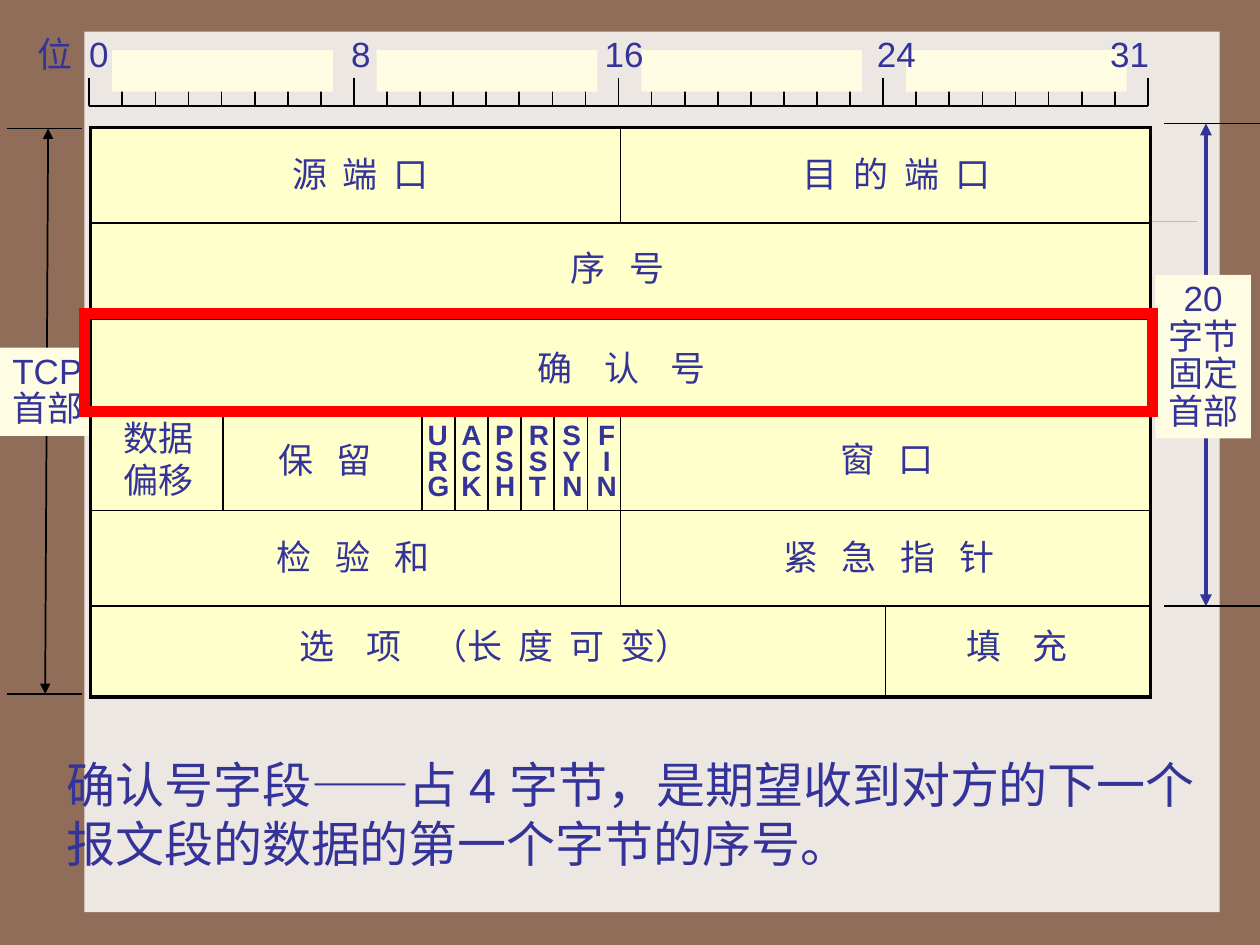
from lxml import etree
from pptx import Presentation
from pptx.dml.color import RGBColor
from pptx.enum.shapes import MSO_CONNECTOR, MSO_SHAPE
from pptx.enum.text import MSO_ANCHOR, PP_ALIGN
from pptx.oxml.ns import qn
from pptx.util import Cm, Pt

COLORS = {
    "frame": "906D58", "paper": "EDE7E3", "rule": "CBBD83", "cream": "FEFDE3",
    "field": "FFFFCC", "ink": "333399", "black": "000000", "red": "FF0000",
}
BITS = 32


def rgb(name):
    return RGBColor.from_string(COLORS[name])


def add_rect(slide, left, top, width, height, fill=None, line=None, weight=1):
    rect = slide.shapes.add_shape(MSO_SHAPE.RECTANGLE, Cm(left), Cm(top), Cm(width), Cm(height))
    rect.shadow.inherit = False
    if fill:
        rect.fill.solid()
        rect.fill.fore_color.rgb = rgb(fill)
    else:
        rect.fill.background()
    if line:
        rect.line.color.rgb = rgb(line)
        rect.line.width = Pt(weight)
        etree.SubElement(rect.line._get_or_add_ln(), qn("a:miter"), lim="800000")
    else:
        rect.line.fill.background()
    return rect


def add_line(slide, x1, y1, x2, y2, color="black", weight=1, arrows=False):
    line = slide.shapes.add_connector(MSO_CONNECTOR.STRAIGHT, Cm(x1), Cm(y1), Cm(x2), Cm(y2))
    line.line.color.rgb = rgb(color)
    line.line.width = Pt(weight)
    if arrows:
        outline = line.line._get_or_add_ln()
        for end in ("a:headEnd", "a:tailEnd"):
            etree.SubElement(outline, qn(end), type="triangle")
    etree.SubElement(line._element.spPr, qn("a:effectLst"))
    return line


def add_text(slide, text, left, top, width, height, size=20, bold=False, gap=0,
             align=PP_ALIGN.LEFT, spacing=1.0, wrap=False, fill=None, tabs=()):
    if fill:
        box = add_rect(slide, left, top, width, height, fill)
    else:
        box = slide.shapes.add_textbox(Cm(left), Cm(top), Cm(width), Cm(height))
    frame = box.text_frame
    frame.word_wrap = wrap
    frame.vertical_anchor = MSO_ANCHOR.TOP
    for index, content in enumerate(text if isinstance(text, list) else [text]):
        paragraph = frame.paragraphs[0] if index == 0 else frame.add_paragraph()
        paragraph.alignment = align
        paragraph.line_spacing = spacing
        if tabs:
            tab_list = etree.SubElement(paragraph._p.get_or_add_pPr(), qn("a:tabLst"))
            for stop in tabs:
                etree.SubElement(tab_list, qn("a:tab"), pos=str(Cm(stop)), algn="l")
        if isinstance(content, tuple):
            pieces = content
        elif gap:
            pieces = ((content[:-1], gap), (content[-1], 0))
        else:
            pieces = ((content, 0),)
        for piece, letter_gap in pieces:
            run = paragraph.add_run()
            run.text = piece
            run.font.name = "Arial"
            run.font.size = Pt(size)
            run.font.bold = bold
            run.font.color.rgb = rgb("ink")
            if letter_gap:
                run._r.get_or_add_rPr().set("spc", str(int(letter_gap * 100)))
    return box


def draw_backdrop(slide):
    slide.background.fill.solid()
    slide.background.fill.fore_color.rgb = rgb("frame")
    add_rect(slide, 1.7, 0.64, 22.89, 17.75, "paper")
    add_line(slide, 2.82, 4.45, 24.13, 4.45, "rule", 0.25)


def draw_span(slide, left, top, width, height, label, label_box, align,
              arrow_x, lean=0, color="black", weight=1):
    add_line(slide, left + arrow_x, top, left + arrow_x - lean, top + height, color, weight, True)
    dx, dy, label_width, label_height = label_box
    add_text(slide, label, left + dx, top + dy, label_width, label_height,
             align=align, spacing=0.9, fill="cream")
    for y in (top, top + height):
        add_line(slide, left, y, left + width, y)


def draw_ruler(slide, left, top, width, height):
    bit = width / BITS
    bottom = top + height
    add_line(slide, left, bottom, left + width, bottom)
    for index in range(BITS + 1):
        tick = 0.56 if index % 8 == 0 else 0.84
        x = left + index * bit
        add_line(slide, x, bottom - tick, x, bottom)
    for byte in range(4):
        add_rect(slide, left + 0.46 + byte * 8 * bit, top + 0.48, 4.45, 0.84, "cream")
    add_text(slide, "位\t0\t8\t16\t24\t31", left - 1.29, top, 22.96, 1.09,
             wrap=True, tabs=(1.04, 6.32, 11.43, 16.92, 21.62))


def draw_header(slide, left, top, width, height):
    row = 1.93
    bit = width / BITS
    table = add_rect(slide, left, top, width, height, "field", "black", 2)
    for index in range(1, 6):
        y = top + index * row
        add_line(slide, left, y, left + width, y)
    port_divider = add_line(slide, left + 16 * bit, top, left + 16 * bit, top + row)
    port_divider.begin_connect(table, 0)

    dividers = [(position, 3, 4) for position in (4, *range(10, 16))]
    dividers += [(16, 3, 5), (24, 5, height / row)]
    for position, first, last in dividers:
        x = left + position * bit
        add_line(slide, x, top + first * row, x, top + last * row)

    options = (("选项", 18), ("（", 0), ("长度可", 9), ("变）", 0))
    fields = [
        ("源端口", 3.81, 0.38, 3.6, 9),
        ("目的端口", 14.1, 0.38, 4.6, 9),
        ("序号", 9.42, 2.28, 3.84, 13.5),
        ("确认号", 8.76, 4.29, 5.11, 18),
        (["数据", "偏移"], 0.41, 5.71, 2.1, 0),
        ("保留", 3.53, 6.14, 2.7, 13.5),
        ("窗口", 14.86, 6.12, 2.7, 13.5),
        ("检验和", 3.5, 8.1, 3.9, 13.5),
        ("紧急指针", 13.71, 8.1, 5.1, 13.5),
        ([options], 3.96, 9.9, 8.89, 0),
        ("填充", 17.4, 9.9, 3.48, 18),
    ]
    for text, dx, dy, field_width, gap in fields:
        field_height = 1.93 if isinstance(text, list) and len(text) > 1 else 1.09
        add_text(slide, text, left + dx, top + dy, field_width, field_height, gap=gap, wrap=True)

    for index, flag in enumerate(("URG", "ACK", "PSH", "RST", "SYN", "FIN")):
        add_text(slide, list(flag), left + 6.54 + index * 0.68, top + 5.89, 0.92, 1.78,
                 size=16, bold=True, spacing=0.75,
                 align=PP_ALIGN.CENTER if flag == "FIN" else PP_ALIGN.LEFT)


def draw_explanation(slide, left, top, width, height):
    add_text(slide, "确认号字段——占 4 字节，是期望收到对方的下一个报文段的数据的第一个字节的序号。",
             left, top, width, height, size=28, wrap=True)


def main():
    deck = Presentation()
    deck.slide_width, deck.slide_height = Cm(25.4), Cm(19.05)
    slide = deck.slides.add_slide(deck.slide_layouts[6])
    draw_backdrop(slide)
    draw_span(slide, 0.15, 2.59, 1.5, 11.4, ["TCP", "首部"], (-0.15, 4.42, 1.93, 1.78),
              PP_ALIGN.LEFT, 0.82, lean=0.06)
    draw_span(slide, 23.47, 2.49, 1.93, 9.73, ["20", "字节", "固定", "首部"],
              (-0.18, 3.05, 1.93, 3.3), PP_ALIGN.CENTER, 0.84, color="ink", weight=2.25)
    draw_header(slide, 1.83, 2.57, 21.36, 11.48)
    draw_ruler(slide, 1.8, 0.53, 21.34, 1.6)
    draw_explanation(slide, 1.09, 15.09, 23.39, 2.64)
    add_rect(slide, 1.7, 6.32, 21.54, 1.98, line="red", weight=6)
    deck.save("out.pptx")


if __name__ == "__main__":
    main()
